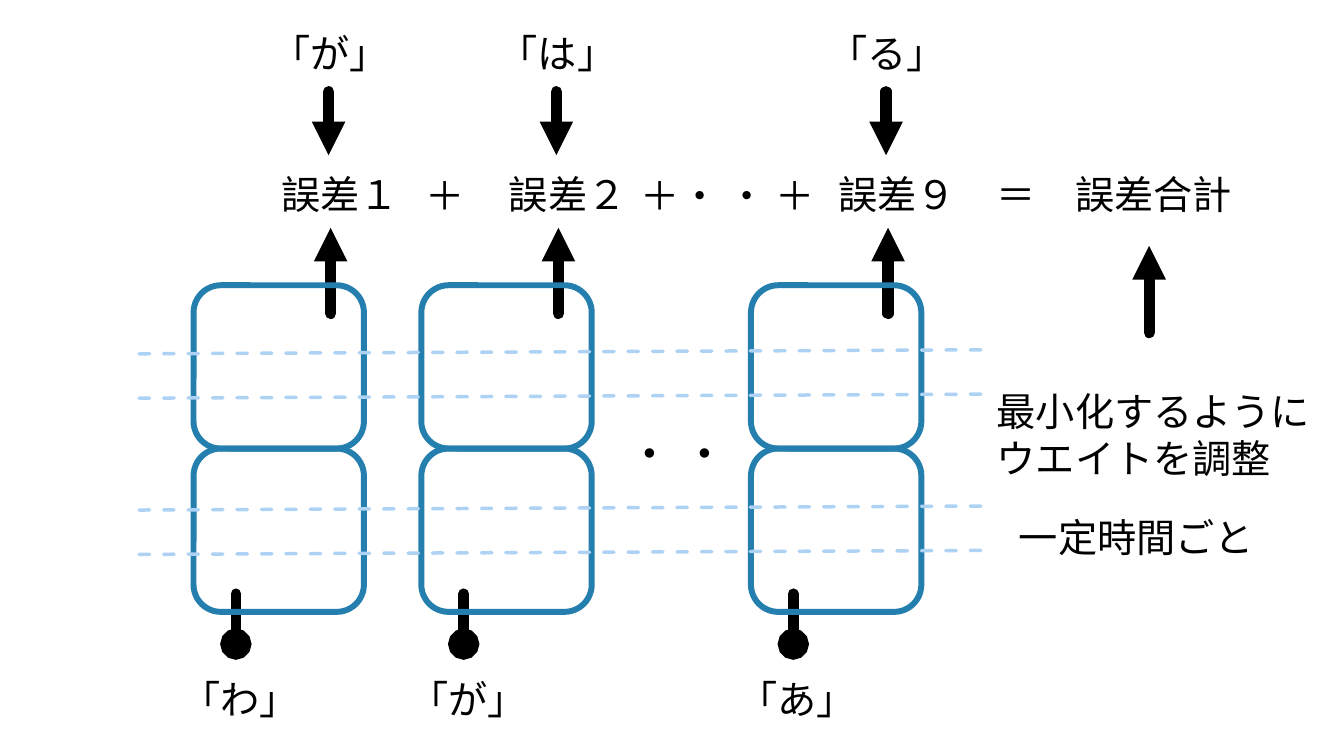
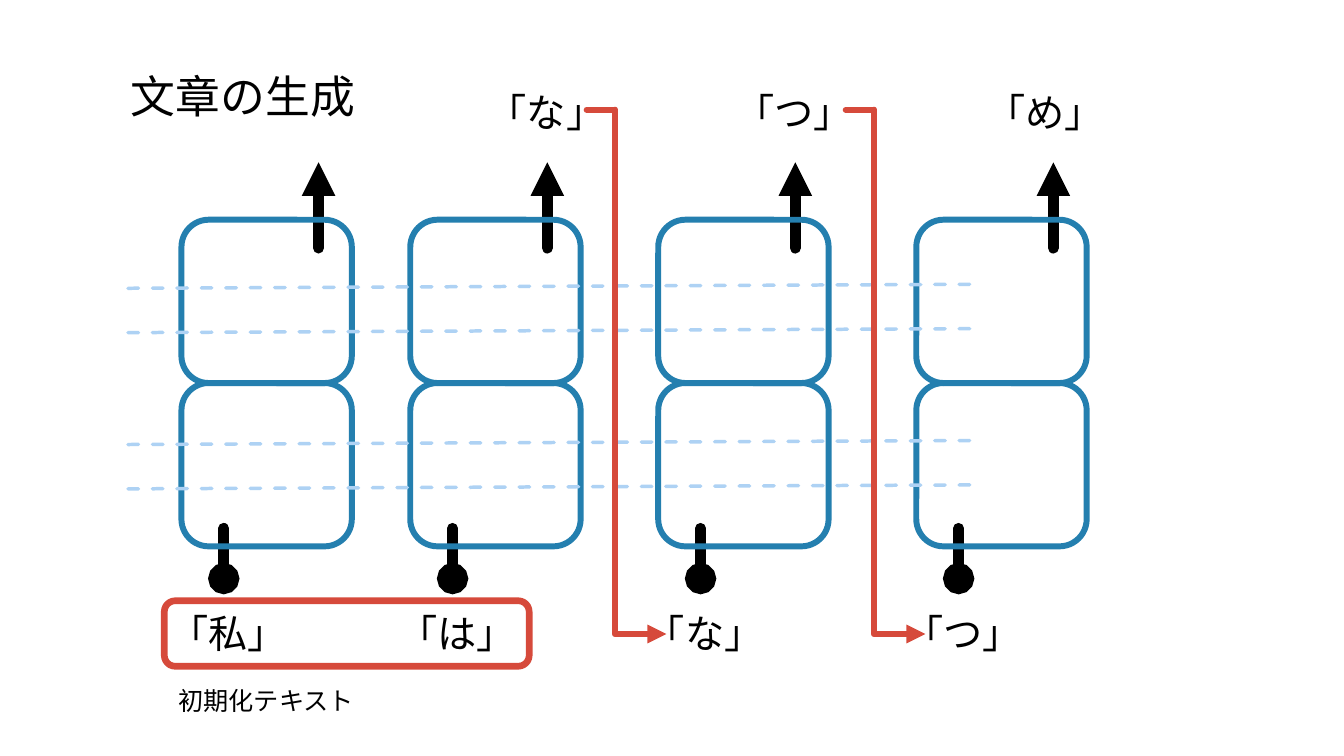
from dataclasses import dataclass
from typing import Sequence

import pptx
import pptx.dml.color
import pptx.enum.dml
import pptx.enum.shapes
import pptx.enum.text
import pptx.oxml.ns
import pptx.presentation
import pptx.shapes.connector
import pptx.slide
import pptx.util
from lxml import etree

RGBColor = pptx.dml.color.RGBColor
CONNECTOR = pptx.enum.shapes.MSO_CONNECTOR
BLACK = RGBColor(0x00, 0x00, 0x00)
BLUE = RGBColor(0x24, 0x7F, 0xAF)
PALE_BLUE = RGBColor(0xAE, 0xD2, 0xF4)
RED = RGBColor(0xD6, 0x4A, 0x3B)

FONT = "Calibri"
GRID = pptx.util.Inches(0.1)
COLUMNS, ROWS = 133.33, 75

CELL_WIDTH, CELL_HEIGHT = 16.9, 16.2
OUTPUT_X, INPUT_X = 13.6, 4.2
STATE_OFFSETS = (6.8, 11.2, 22.3, 26.7)
STATE_LENGTH, STATE_RISE = 84.7, 0.4
TOKEN_WIDTH, TOKEN_HEIGHT = 13.8, 5.7


@dataclass(frozen=True)
class Label:
    text: str
    left: float
    top: float
    width: float = TOKEN_WIDTH
    height: float = TOKEN_HEIGHT
    size: int = 28
    wrap: bool = False


@dataclass(frozen=True)
class Stack:
    left: float
    input_token: str


@dataclass(frozen=True)
class Error:
    name: str
    target: str


@dataclass(frozen=True)
class Stroke:
    color: RGBColor
    width: float
    end: str = ""
    dashed: bool = False


ARROW = Stroke(BLACK, 8, end="triangle")
INPUT = Stroke(BLACK, 7.5, end="oval")
STATE = Stroke(PALE_BLUE, 2.5, dashed=True)
FEED = Stroke(RED, 4.5, end="triangle")
FEED_LEAD = Stroke(RED, 4.25)


def span(cells: float) -> pptx.util.Emu:
    return pptx.util.Emu(round(cells * GRID))


def draw_label(slide: pptx.slide.Slide, label: Label) -> None:
    box = slide.shapes.add_textbox(
        span(label.left), span(label.top), span(label.width), span(label.height)
    )
    frame = box.text_frame
    frame.word_wrap = label.wrap
    frame.auto_size = pptx.enum.text.MSO_AUTO_SIZE.SHAPE_TO_FIT_TEXT
    frame.text = label.text
    for paragraph in frame.paragraphs:
        paragraph.font.name = FONT
        paragraph.font.size = pptx.util.Pt(label.size)
        paragraph.font.color.rgb = BLACK


def draw_frame(
    slide: pptx.slide.Slide, left: float, top: float, width: float, height: float,
    color: RGBColor, weight: float,
) -> None:
    frame = slide.shapes.add_shape(
        pptx.enum.shapes.MSO_SHAPE.ROUNDED_RECTANGLE,
        span(left), span(top), span(width), span(height),
    )
    frame.shadow.inherit = False
    frame.fill.background()
    frame.line.color.rgb = color
    frame.line.width = pptx.util.Pt(weight)


def draw_line(
    slide: pptx.slide.Slide, x1: float, y1: float, x2: float, y2: float,
    stroke: Stroke, kind: CONNECTOR = CONNECTOR.STRAIGHT,
) -> pptx.shapes.connector.Connector:
    line = slide.shapes.add_connector(kind, span(x1), span(y1), span(x2), span(y2))
    line.line.color.rgb = stroke.color
    line.line.width = pptx.util.Pt(stroke.width)
    if stroke.dashed:
        line.line.dash_style = pptx.enum.dml.MSO_LINE.DASH
    qn = pptx.oxml.ns.qn
    properties = line._element.spPr
    outline = properties.find(qn("a:ln"))
    outline.set("cap", "rnd")
    etree.SubElement(outline, qn("a:round"))
    if stroke.end:
        etree.SubElement(outline, qn("a:tailEnd"), type=stroke.end)
    etree.SubElement(properties, qn("a:effectLst"))
    return line


def draw_stack(slide: pptx.slide.Slide, stack: Stack, top: float) -> None:
    output_x, input_x = stack.left + OUTPUT_X, stack.left + INPUT_X
    draw_line(slide, output_x, top + 2.8, output_x, top - 5.7, ARROW)
    draw_line(slide, input_x, top + 30.6, input_x, top + 35.6, INPUT)
    for layer in range(2):
        draw_frame(slide, stack.left, top + layer * CELL_HEIGHT,
                   CELL_WIDTH, CELL_HEIGHT, BLUE, 4.25)
    draw_label(slide, Label(stack.input_token, stack.left - 2.2, top + 38.2))


def draw_network(
    slide: pptx.slide.Slide, stacks: Sequence[Stack], top: float, state_left: float
) -> None:
    for stack in stacks:
        draw_stack(slide, stack, top)
    for offset in STATE_OFFSETS:
        start = top + offset
        draw_line(slide, state_left, start,
                  state_left + STATE_LENGTH, start - STATE_RISE, STATE)


def draw_feedback(
    slide: pptx.slide.Slide, x: float, top: float, reach: float, drop: float
) -> None:
    middle_x, middle_y = x + reach / 2, top + drop / 2
    feed = draw_line(
        slide, middle_x + drop / 2, middle_y - reach / 2,
        middle_x - drop / 2, middle_y + reach / 2, FEED, CONNECTOR.ELBOW,
    )
    qn = pptx.oxml.ns.qn
    feed._element.spPr.find(qn("a:xfrm")).set("rot", str(270 * 60000))
    feed._element.spPr.find(qn("a:prstGeom")).set("prst", "bentConnector2")
    draw_line(slide, x - 2.8, top, x, top, FEED_LEAD)


def add_slide(deck: pptx.presentation.Presentation) -> pptx.slide.Slide:
    return deck.slides.add_slide(deck.slide_layouts[6])


def build_training(deck: pptx.presentation.Presentation) -> None:
    slide = add_slide(deck)
    stacks = (Stack(19.2, "「わ」"), Stack(41.8, "「が」"), Stack(74.5, "「あ」"))
    errors = (Error("誤差１", "「が」"), Error("誤差２", "「は」"), Error("誤差９", "「る」"))
    draw_network(slide, stacks, top=28.3, state_left=13.8)
    for stack, error in zip(stacks, errors):
        draw_label(slide, Label(error.name, stack.left + 7.7, 16.4))
        draw_label(slide, Label(error.target, stack.left + 6.7, 2.4))
        target_x = stack.left + 13.4
        draw_line(slide, target_x, 9.1, target_x, 15.4, ARROW)
    draw_line(slide, 114, 33, 114, 24.4, ARROW)
    for label in (
        Label("・ ・", 61.3, 41.7, 11.9, 6.4, size=32),
        Label("＋", 41.2, 16.5, 5.9),
        Label("＋・ ・ ＋", 62.6, 16.5, 19.9, wrap=True),
        Label("＝　誤差合計", 97.9, 16.4, 33.3, wrap=True),
        Label("最小化するように\nウエイトを調整", 97.9, 37.9, 33.3, 10.4, wrap=True),
        Label("一定時間ごと", 100.1, 50.4, 33.2, wrap=True),
    ):
        draw_label(slide, label)


def build_generation(deck: pptx.presentation.Presentation) -> None:
    slide = add_slide(deck)
    stacks = (Stack(18, "「私」"), Stack(40.7, "「は」"),
              Stack(65.3, "「な」"), Stack(90.9, "「つ」"))
    draw_network(slide, stacks, top=21.8, state_left=12.7)
    for label in (
        Label("文章の生成", 12, 6.3, 39.5, 9.4, size=32, wrap=True),
        Label("「な」", 47.4, 8.3),
        Label("「つ」", 72, 8.3),
        Label("「め」", 96.9, 8.3),
        Label("初期化テキスト", 16.7, 67.5, 19.7, 4, size=18),
    ):
        draw_label(slide, label)
    for feed_x in (61, 86.7):
        draw_feedback(slide, feed_x, top=10.9, reach=5.1, drop=52)
    draw_frame(slide, 16.3, 59.6, 36.2, 6.5, RED, 4.75)


def main() -> None:
    deck = pptx.Presentation()
    deck.slide_width, deck.slide_height = span(COLUMNS), span(ROWS)
    build_training(deck)
    build_generation(deck)
    deck.save("out.pptx")


if __name__ == "__main__":
    main()
